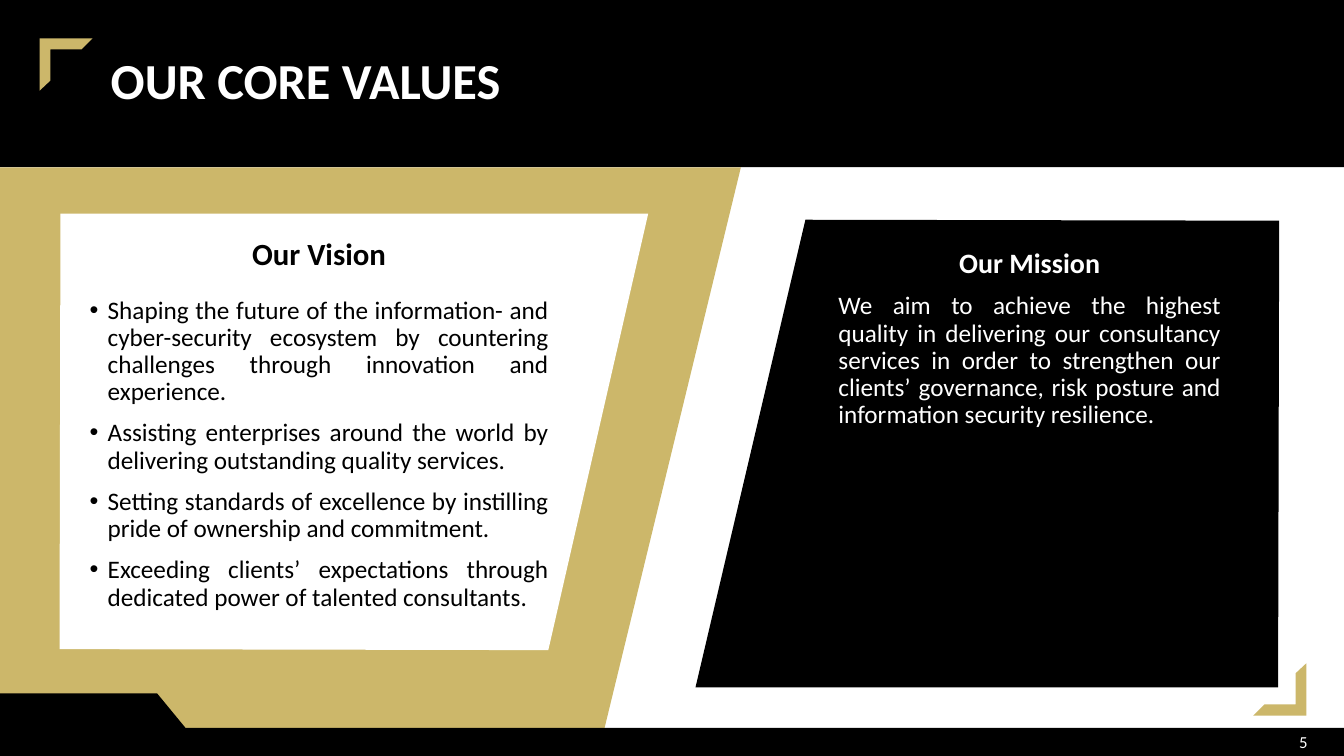
from lxml import etree
from pptx import Presentation, util as u
from pptx.dml.color import RGBColor
from pptx.enum import shapes, text
from pptx.oxml.ns import qn

WIDTH, HEIGHT = u.Inches(13.333), u.Inches(7.5)
BLACK, WHITE, GOLD = "000000", "FFFFFF", "CCB76A"
LEFT, CENTER = text.PP_ALIGN.LEFT, text.PP_ALIGN.CENTER
RIGHT, JUSTIFY = text.PP_ALIGN.RIGHT, text.PP_ALIGN.JUSTIFY
TOP, MIDDLE = text.MSO_ANCHOR.TOP, text.MSO_ANCHOR.MIDDLE

# All positions are percentages of the slide's width and height.
MISSION_PANEL = [(95.1, 90.93), (51.75, 90.93), (59.93, 29.07), (95.18, 29.2)]
HEADER = (0, 0, 100, 22.13)
GOLD_PANEL = [(0, 22.13), (55.13, 22.13), (44.48, 100), (0, 100)]
FOOTER = [(0, 91.73), (11.7, 91.73), (13.8, 96.27), (100, 96.27), (100, 100), (0, 100)]
VISION_PANEL = [(4.5, 28.27), (48.23, 28.27), (40.8, 86), (4.43, 85.87)]
BRACKET = [(0, 0), (0, 6.93), (0.8, 5.6), (0.8, 1.47), (3.12, 1.47), (3.95, 0)]
BRACKET_CORNERS = [(2.95, 5.07, 1), (97.2, 94.67, -1)]

VISION = [
    "Shaping the future of the information- and cyber-security ecosystem by countering "
    "challenges through innovation and experience.",
    "Assisting enterprises around the world by delivering outstanding quality services.",
    "Setting standards of excellence by instilling pride of ownership and commitment.",
    "Exceeding clients’ expectations through dedicated power of talented consultants.",
]
MISSION = (
    "We aim to achieve the highest quality in delivering our consultancy services in order "
    "to strengthen our clients’ governance, risk posture and information security resilience."
)


def line(words, size, align, bold=False, before=0, bullet=False, indent=0):
    return dict(words=words, size=size, align=align, bold=bold,
                before=before, bullet=bullet, indent=indent)


TEXTS = [
    ((0, 0, 100, 22), MIDDLE, WHITE, [line("OUR CORE VALUES", 36, LEFT, True, indent=1)]),
    ((61.65, 32.27, 29.93, 49.2), TOP, WHITE, [
        line("Our Mission", 20, CENTER, True),
        line(MISSION, 18, JUSTIFY, before=10),
    ]),
    ((5.93, 30.93, 35.63, 55.47), TOP, BLACK, [line("Our Vision", 22, CENTER, True)] + [
        line(words, 18, JUSTIFY, before=10 if number else 18, bullet=True)
        for number, words in enumerate(VISION)
    ]),
    ((75.53, 96.53, 22.5, 3.47), MIDDLE, WHITE, [line("5", 12, RIGHT)]),
]


def color(code):
    return RGBColor.from_string(code)


def across(share):
    return round(WIDTH * share / 100)


def down(share):
    return round(HEIGHT * share / 100)


def place(area):
    left, top, width, height = area
    return across(left), down(top), across(width), down(height)


def paint(shape, fill):
    shape.shadow.inherit = False
    shape.fill.solid()
    shape.fill.fore_color.rgb = color(fill)
    shape.line.fill.background()


def add_outline(page, points, fill):
    corners = [(across(x), down(y)) for x, y in points]
    builder = page.shapes.build_freeform(*corners[0])
    builder.add_line_segments(corners[1:], close=True)
    paint(builder.convert_to_shape(), fill)


def add_text(page, area, anchor, ink, lines):
    frame = page.shapes.add_textbox(*place(area)).text_frame
    frame.word_wrap = True
    frame.vertical_anchor = anchor
    if anchor == MIDDLE:
        frame.margin_top = frame.margin_bottom = 0
    for number, entry in enumerate(lines):
        para = frame.add_paragraph() if number else frame.paragraphs[0]
        para.text = entry["words"]
        para.alignment = entry["align"]
        para.line_spacing = 0.9
        if number:
            para.space_before = u.Pt(entry["before"])
        settings = para._p.get_or_add_pPr()
        if entry["indent"]:
            settings.set("indent", str(u.Inches(entry["indent"])))
        if entry["bullet"]:
            settings.set("marL", str(u.Inches(0.18)))
            settings.set("indent", str(-u.Inches(0.18)))
            etree.SubElement(settings, qn("a:buFont")).set("typeface", "Arial")
            etree.SubElement(settings, qn("a:buChar")).set("char", "•")
        para.font.name = "Calibri"
        para.font.size = u.Pt(entry["size"])
        para.font.bold = entry["bold"]
        para.font.color.rgb = color(ink)


def main():
    deck = Presentation()
    deck.slide_width, deck.slide_height = WIDTH, HEIGHT
    page = deck.slides.add_slide(deck.slide_layouts[6])
    add_outline(page, MISSION_PANEL, BLACK)
    paint(page.shapes.add_shape(shapes.MSO_SHAPE.RECTANGLE, *place(HEADER)), BLACK)
    for points, fill in [(GOLD_PANEL, GOLD), (FOOTER, BLACK), (VISION_PANEL, WHITE)]:
        add_outline(page, points, fill)
    for left, top, turn in BRACKET_CORNERS:
        add_outline(page, [(left + turn * x, top + turn * y) for x, y in BRACKET], GOLD)
    for block in TEXTS:
        add_text(page, *block)
    deck.save("out.pptx")


if __name__ == "__main__":
    main()
